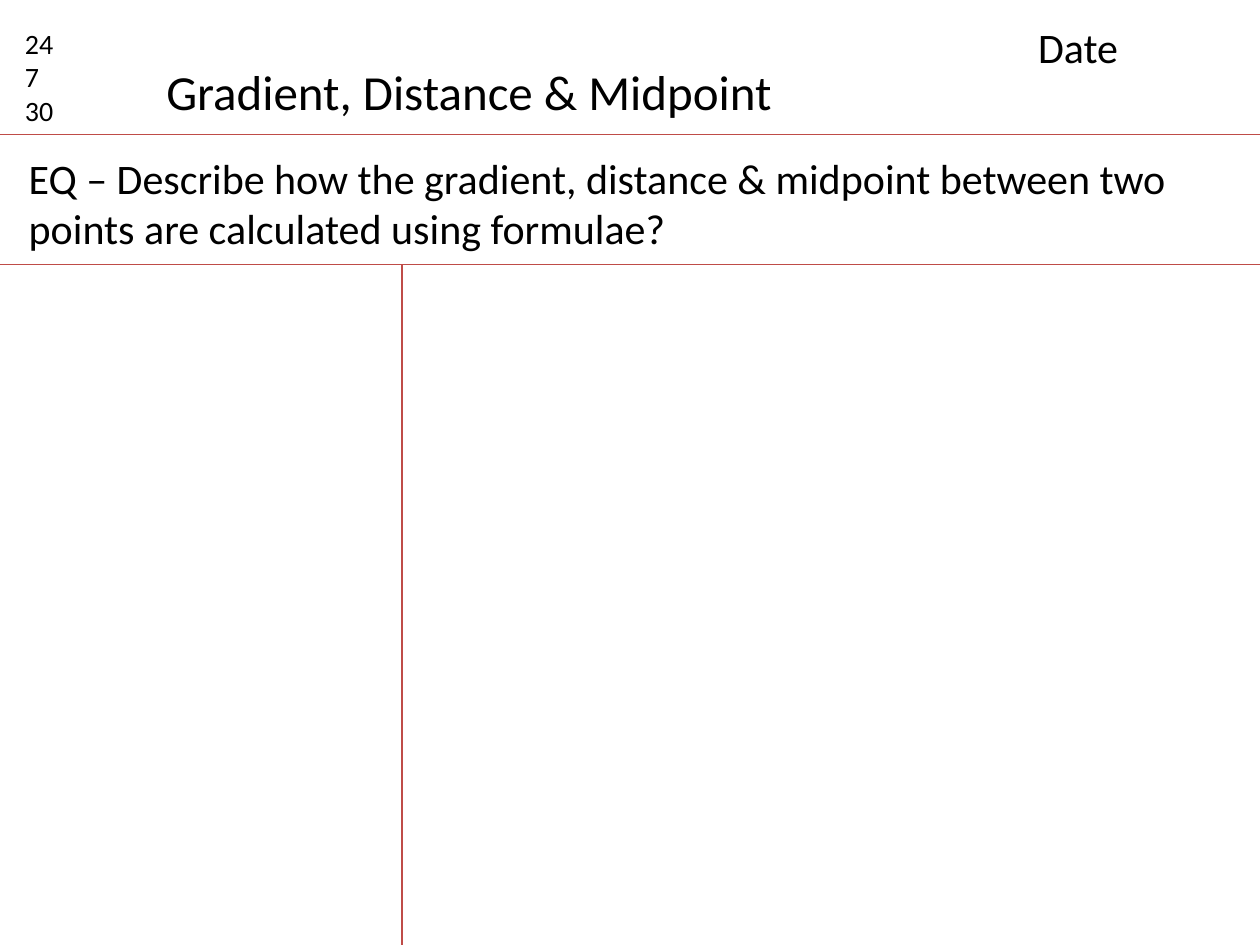
from lxml import etree
from pptx import Presentation
from pptx.dml.color import RGBColor
from pptx.enum.shapes import MSO_CONNECTOR
from pptx.enum.text import MSO_ANCHOR, MSO_AUTO_SIZE, PP_ALIGN
from pptx.oxml.ns import qn
from pptx.util import Inches, Pt

STRAIGHT = MSO_CONNECTOR.STRAIGHT
TOP = MSO_ANCHOR.TOP
LEFT = PP_ALIGN.LEFT
FIT_SHAPE = MSO_AUTO_SIZE.SHAPE_TO_FIT_TEXT

COLORS = {"text": "000000", "rule": "BF4C48"}
FONT = "Calibri"
SLIDE_WIDTH, SLIDE_HEIGHT = 10, 7.5

# Content: lines of text, position (left, top, width, height), format
TITLE = (["Gradient, Distance & Midpoint"], (1.22, 0.44, 5.06, 0.57), {"size": 28, "wrap": False})
TEXTS = [
    (["24", "7", "30"], (0.1, 0.16, 0.63, 0.91), {"size": 16}),
    (["Date"], (8.14, 0.12, 1.73, 0.5), {"size": 24}),
    (["EQ – Describe how the gradient, distance & midpoint between two points "
      "are calculated using formulae?"], (0.13, 1.16, 9.43, 0.91), {"size": 24}),
]

# Note page layout
HEADER_BOTTOM, QUESTION_BOTTOM = 1.07, 2.1
MARGIN_X, MARGIN_BOTTOM = 3.19, 7.69
RULES = [
    (0, HEADER_BOTTOM, SLIDE_WIDTH, HEADER_BOTTOM),
    (0, QUESTION_BOTTOM, SLIDE_WIDTH, QUESTION_BOTTOM),
    (MARGIN_X, QUESTION_BOTTOM, MARGIN_X, MARGIN_BOTTOM),
]


def write_text(shape, lines, size, wrap=True):
    frame = shape.text_frame
    frame.text = "\n".join(lines)
    frame.word_wrap = wrap
    frame.auto_size = FIT_SHAPE
    frame.vertical_anchor = TOP
    for paragraph in frame.paragraphs:
        paragraph.alignment = LEFT
        paragraph.font.name = FONT
        paragraph.font.size = Pt(size)
        paragraph.font.color.rgb = RGBColor.from_string(COLORS["text"])


def add_rule(slide, ends):
    rule = slide.shapes.add_connector(STRAIGHT, *map(Inches, ends))
    rule.line.color.rgb = RGBColor.from_string(COLORS["rule"])
    rule.line.width = Pt(0.75)
    etree.SubElement(rule._element.spPr, qn("a:effectLst"))


def main():
    presentation = Presentation()
    presentation.slide_width = Inches(SLIDE_WIDTH)
    presentation.slide_height = Inches(SLIDE_HEIGHT)
    slide = presentation.slides.add_slide(presentation.slide_layouts.get_by_name("Title Only"))

    # Title
    lines, box, style = TITLE
    title = slide.shapes.title
    title.left, title.top, title.width, title.height = map(Inches, box)
    write_text(title, lines, **style)

    # Ruled lines
    for ends in RULES:
        add_rule(slide, ends)

    # Numbers, date and essential question
    for lines, box, style in TEXTS:
        write_text(slide.shapes.add_textbox(*map(Inches, box)), lines, **style)

    presentation.save("out.pptx")


if __name__ == "__main__":
    main()
